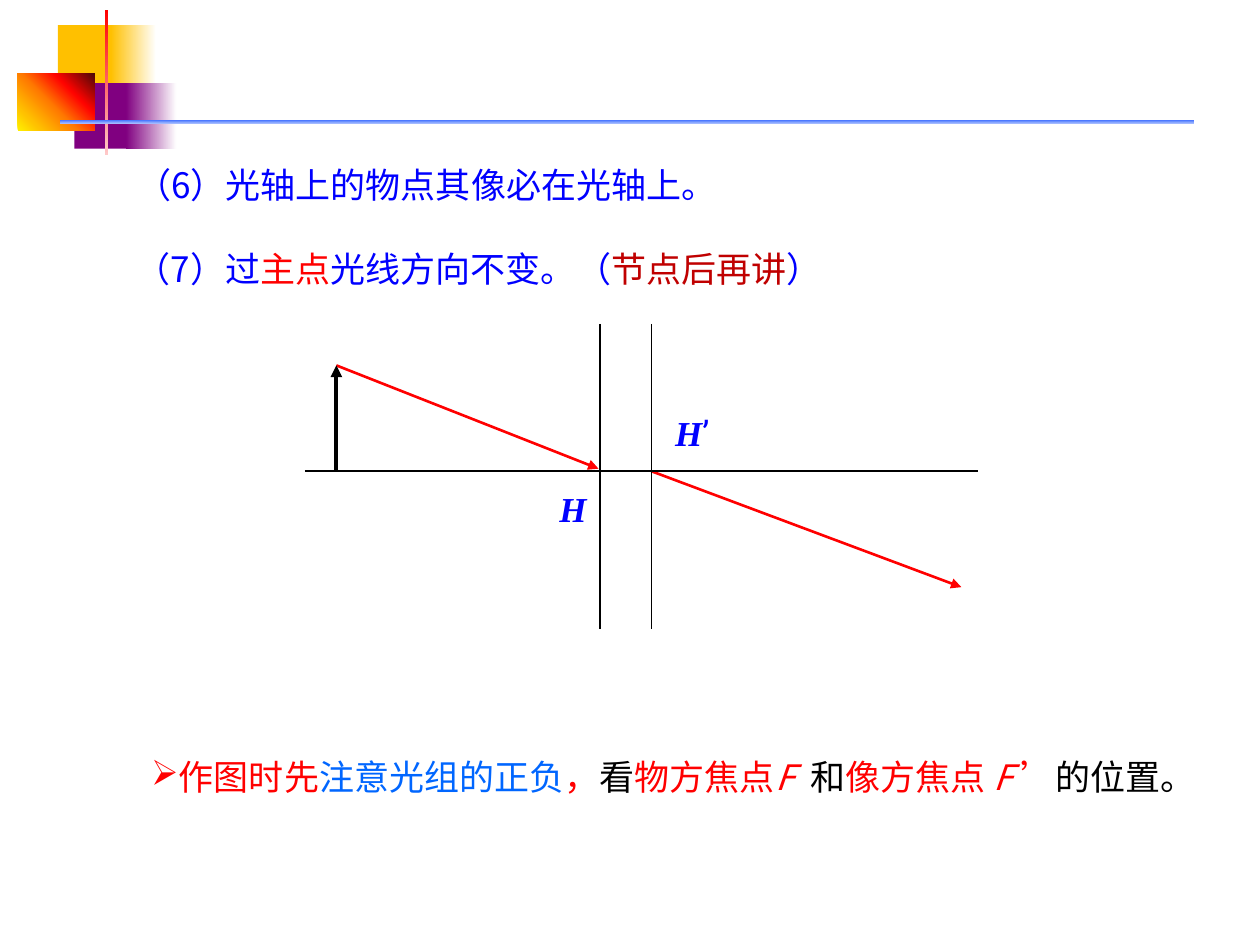
from lxml import etree
from pptx import Presentation
from pptx.dml.color import RGBColor
from pptx.enum.shapes import MSO_CONNECTOR, MSO_SHAPE
from pptx.enum.text import MSO_ANCHOR, PP_ALIGN
from pptx.oxml.ns import qn
from pptx.util import Inches, Pt

RECTANGLE = MSO_SHAPE.RECTANGLE
STRAIGHT = MSO_CONNECTOR.STRAIGHT
LEFT = PP_ALIGN.LEFT
MIDDLE, TOP = MSO_ANCHOR.MIDDLE, MSO_ANCHOR.TOP

CJK_FONT = "Noto Sans CJK SC"
LATIN_FONT = "Times New Roman"
PRIME_FONT = "Roboto"
BLUE, RED, BLACK, WHITE = "0000FF", "FF0000", "000000", "FFFFFF"
SKY, CRIMSON = "0066FF", "C00000"
GOLD, PURPLE = "FFC000", "800080"


def rgb(color):
    return RGBColor.from_string(color)


def box(left, top, width, height):
    return Inches(left), Inches(top), Inches(width), Inches(height)


def add_block(slide, place, stops, angle=0):
    block = slide.shapes.add_shape(RECTANGLE, *box(*place))
    block.shadow.inherit = False
    block.line.fill.background()
    if len(stops) == 1:
        block.fill.solid()
        block.fill.fore_color.rgb = rgb(stops[0][1])
        return
    block.fill.gradient()
    block.fill.gradient_angle = -angle % 360
    stop_list = block._element.spPr.find(qn("a:gradFill")).find(qn("a:gsLst"))
    for old_stop in list(stop_list):
        stop_list.remove(old_stop)
    for percent, color in stops:
        stop = etree.SubElement(stop_list, qn("a:gs"), pos=str(percent * 1000))
        etree.SubElement(stop, qn("a:srgbClr"), val=color)


def add_ornament(slide, left, top):
    blocks = [
        ((0.32, 0.12, 0.48, 0.52), [(0, GOLD)], 0),
        ((0.74, 0.12, 0.36, 0.52), [(0, GOLD), (100, WHITE)], 0),
        ((0.45, 0.58, 0.46, 0.52), [(0, PURPLE)], 0),
        ((0.86, 0.58, 0.4, 0.52), [(0, PURPLE), (100, WHITE)], 0),
        ((0, 0.5, 0.61, 0.46),
         [(0, "FFF200"), (45, "FF7A00"), (70, "FF0300"), (100, "4D0808")], 315),
        ((0.69, 0, 0.03, 1.15), [(0, RED), (100, "FFC9C9")], 90),
        ((0.34, 0.87, 9, 0.03), [(0, "3366FF"), (100, "A2B9FF")], 90),
    ]
    for (x, y, width, height), stops, angle in blocks:
        add_block(slide, (left + x, top + y, width, height), stops, angle)


def write_text(frame, runs, anchor=TOP, font=CJK_FONT, bullet=None):
    frame.word_wrap = True
    frame.vertical_anchor = anchor
    paragraph = frame.paragraphs[0]
    paragraph.alignment = LEFT
    properties = paragraph._p.get_or_add_pPr()
    if bullet:
        etree.SubElement(properties, qn("a:buChar"), char=bullet)
    paragraph.font.size = Pt(20)
    paragraph.font.name = font
    defaults = properties.find(qn("a:defRPr"))
    etree.SubElement(defaults, qn("a:ea"), typeface=font)
    for text, color, *italic in runs:
        run = paragraph.add_run()
        run.text = text
        run.font.color.rgb = rgb(color)
        if italic:
            run.font.italic = True
    return paragraph


def add_text(slide, place, runs, **style):
    frame = slide.shapes.add_textbox(*box(*place)).text_frame
    return write_text(frame, runs, **style)


def add_title(slide, place):
    title = slide.shapes.title
    title.left, title.top, title.width, title.height = box(*place)
    write_text(title.text_frame, [("（6）光轴上的物点其像必在光轴上。", BLUE)], MIDDLE)


def add_ray(slide, start, end, color, width, arrow=False):
    ray = slide.shapes.add_connector(
        STRAIGHT, *(Inches(value) for value in (*start, *end)))
    ray.line.color.rgb = rgb(color)
    ray.line.width = Pt(width)
    if arrow:
        etree.SubElement(ray.line._get_or_add_ln(), qn("a:tailEnd"), type="triangle")
    etree.SubElement(ray._element.spPr, qn("a:effectLst"))


def add_principal_label(slide, left, top, prime=""):
    label = add_text(slide, (left, top, 0.58, 0.43), [("H", BLUE, True)],
                     font=LATIN_FONT)
    label.runs[0].font.bold = True
    if prime:
        mark = label.add_run()
        mark.text = prime
        mark.font.name = PRIME_FONT
        mark.font.color.rgb = rgb(BLUE)


def add_ray_diagram(slide, left, top, width, height):
    axis = top + 1.17
    object_x, object_top = left + 0.25, top + 0.33
    front_plane, rear_plane = left + 2.34, left + 2.75
    add_ray(slide, (object_x, object_top), (front_plane - 0.01, axis - 0.02),
            RED, 1.5, True)
    add_ray(slide, (rear_plane, axis), (left + 5.21, top + 2.09), RED, 1.5, True)
    add_ray(slide, (object_x, axis), (object_x, object_top), BLACK, 2.25, True)
    add_ray(slide, (left, axis), (left + width, axis), BLACK, 1)
    for plane in (front_plane, rear_plane):
        add_ray(slide, (plane, top), (plane, top + height), BLACK, 1)
    add_principal_label(slide, front_plane - 0.42, axis + 0.08)
    add_principal_label(slide, rear_plane + 0.09, axis - 0.52, "’")


def main():
    deck = Presentation()
    deck.slide_width, deck.slide_height = Inches(10), Inches(7.5)
    slide = deck.slides.add_slide(deck.slide_layouts[5])
    add_ornament(slide, 0.14, 0.08)
    add_title(slide, (0.98, 1.15, 5.2, 0.63))
    add_text(slide, (0.98, 1.85, 6.85, 0.56), [
        ("（7）过", BLUE), ("主点", RED), ("光线方向不变。（", BLUE),
        ("节点后再讲", CRIMSON), ("）", BLUE),
    ], anchor=MIDDLE)
    add_ray_diagram(slide, 2.42, 2.57, 5.34, 2.42)
    add_text(slide, (1.1, 5.95, 8.39, 0.44), [
        ("作图时先", RED), ("注意光组的正负", SKY), ("，", RED), ("看", BLACK),
        ("物方焦点", RED), ("F  ", RED, True), ("和", BLACK),
        ("像方焦点 ", RED), ("F ", RED, True), ("’", RED), ("的位置。", BLACK),
    ], bullet="➢")
    deck.save("out.pptx")


if __name__ == "__main__":
    main()
